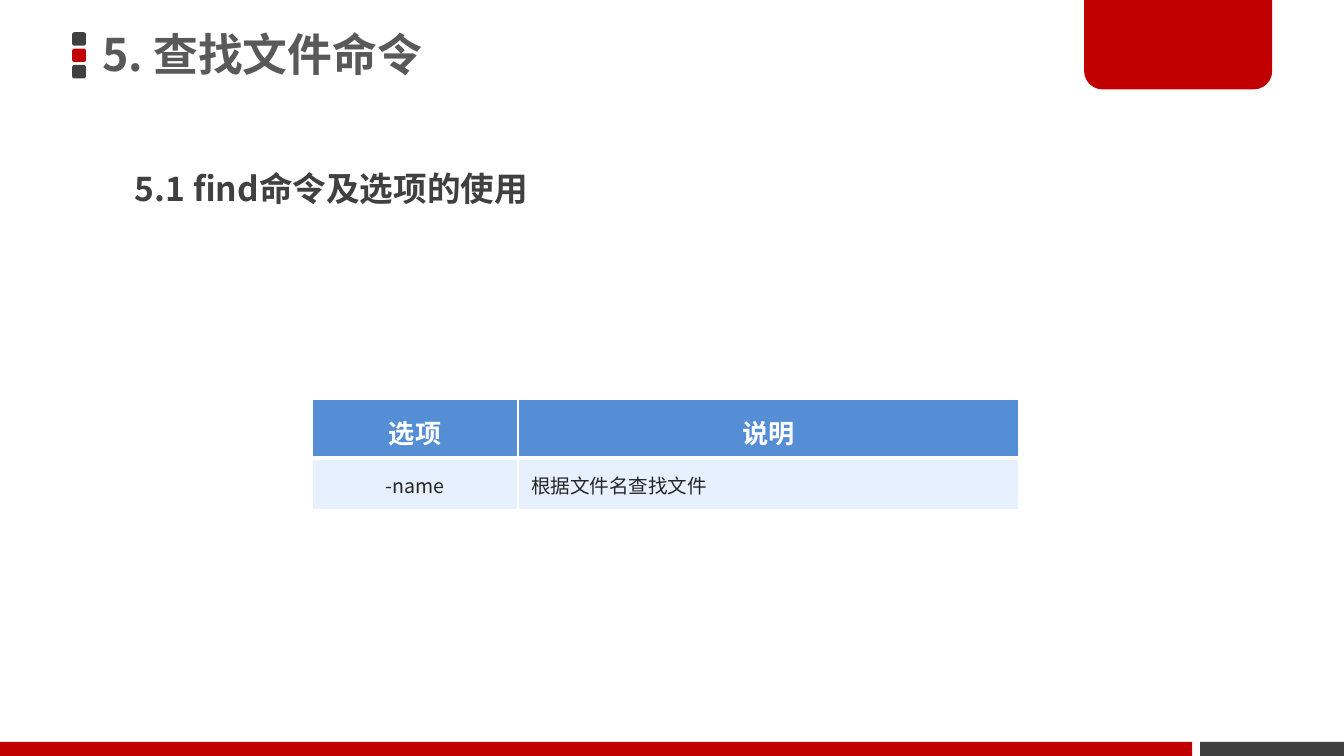
from dataclasses import dataclass

from lxml.etree import SubElement
from pptx import Presentation
from pptx.dml.color import RGBColor
from pptx.enum.shapes import MSO_SHAPE
from pptx.enum.text import MSO_ANCHOR, MSO_AUTO_SIZE, PP_ALIGN
from pptx.oxml.ns import qn
from pptx.util import Inches, Pt


@dataclass(frozen=True)
class Theme:
    font: str = "Noto Sans CJK SC"
    red: str = "C00000"
    dark: str = "404040"
    title: str = "595959"
    header: str = "558ED5"
    row: str = "E6F0FF"
    body: str = "262626"
    white: str = "FFFFFF"
    title_size: float = 24
    subtitle_size: float = 18
    header_size: float = 14
    body_size: float = 10.5


@dataclass(frozen=True)
class Box:
    col: float
    row: float
    cols: float
    rows: float

    def emu(self) -> list[int]:
        return [round(v * UNIT) for v in (self.col, self.row, self.cols, self.rows)]


@dataclass(frozen=True)
class Block:
    box: Box
    color: str
    kind: MSO_SHAPE = MSO_SHAPE.RECTANGLE
    radius: float | None = None
    rotation: float = 0


THEME = Theme()
COLUMNS, ROWS = 100, 56.25
UNIT = Inches(10) / COLUMNS
FOOTER_ROWS = 1.05
FOOTER = ROWS - FOOTER_ROWS

BLOCKS = [
    *(
        Block(Box(5.37, 2.4 + 1.22 * i, 1.03, 1), color, MSO_SHAPE.ROUNDED_RECTANGLE, 0.17)
        for i, color in enumerate([THEME.dark, THEME.red, THEME.dark])
    ),
    Block(Box(89.3, FOOTER, 10.7, FOOTER_ROWS), THEME.dark),
    Block(Box(80.66, -0.2, 14, 6.85), THEME.red, MSO_SHAPE.ROUND_2_SAME_RECTANGLE, 0.2, 180),
    Block(Box(0, FOOTER, 88.7, FOOTER_ROWS), THEME.red),
]
OPTIONS = [("选项", "说明"), ("-name", "根据文件名查找文件")]
OPTION_COLS = (15.3, 37.3)
OPTION_ROWS = (3.9, 4)


def write(tf, text: str, *, size: float, color: str, bold: bool = False,
          align=PP_ALIGN.LEFT, spacing=None, anchor=None) -> None:
    p = tf.paragraphs[0]
    p.alignment = align
    p.line_spacing = spacing
    r = p.add_run()
    r.text = text
    r.font.size = Pt(size)
    r.font.bold = bold
    r.font.name = THEME.font
    r.font.color.rgb = RGBColor.from_string(color)
    SubElement(r._r.get_or_add_rPr(), qn("a:ea"), typeface=THEME.font)
    if anchor is not None:
        tf.vertical_anchor = anchor


def draw_block(slide, block: Block) -> None:
    sp = slide.shapes.add_shape(block.kind, *block.box.emu())
    sp.shadow.inherit = False
    sp.fill.solid()
    sp.fill.fore_color.rgb = RGBColor.from_string(block.color)
    sp.line.fill.background()
    sp.rotation = block.rotation
    if block.radius is not None:
        sp.adjustments[0] = block.radius


def draw_borders(cell, **widths: float) -> None:
    tc_pr = cell._tc.get_or_add_tcPr()
    for side, width in widths.items():
        ln = SubElement(tc_pr, qn(f"a:ln{side}"), w=str(Pt(width)))
        SubElement(SubElement(ln, qn("a:solidFill")), qn("a:srgbClr"), val=THEME.white)


def draw_title(slide, box: Box, text: str) -> None:
    sp = slide.shapes.title
    sp.left, sp.top, sp.width, sp.height = box.emu()
    tf = sp.text_frame
    tf.word_wrap = True
    tf.auto_size = MSO_AUTO_SIZE.NONE
    tf.margin_left = tf.margin_right = Inches(0.07)
    tf.margin_top = tf.margin_bottom = Inches(0.04)
    write(tf, text, size=THEME.title_size, color=THEME.title, bold=True,
          spacing=0.9, anchor=MSO_ANCHOR.MIDDLE)


def draw_subtitle(slide, box: Box, text: str) -> None:
    tf = slide.shapes.add_textbox(*box.emu()).text_frame
    tf.word_wrap = True
    tf.auto_size = MSO_AUTO_SIZE.SHAPE_TO_FIT_TEXT
    write(tf, text, size=THEME.subtitle_size, color=THEME.dark, bold=True, spacing=1.5)


def draw_options(slide, col: float, row: float) -> None:
    box = Box(col, row, sum(OPTION_COLS), sum(OPTION_ROWS))
    table = slide.shapes.add_table(len(OPTIONS), len(OPTION_COLS), *box.emu()).table
    for column, cols in zip(table.columns, OPTION_COLS):
        column.width = round(cols * UNIT)
    for table_row, rows in zip(table.rows, OPTION_ROWS):
        table_row.height = round(rows * UNIT)
    for i, texts in enumerate(OPTIONS):
        head = i == 0
        for j, text in enumerate(texts):
            cell = table.cell(i, j)
            draw_borders(cell, L=1, R=1, T=1 if head else 3, B=3)
            cell.fill.solid()
            cell.fill.fore_color.rgb = RGBColor.from_string(THEME.header if head else THEME.row)
            cell.vertical_anchor = MSO_ANCHOR.TOP if head else MSO_ANCHOR.MIDDLE
            write(cell.text_frame, text, bold=head,
                  size=THEME.header_size if head else THEME.body_size,
                  color=THEME.white if head else THEME.body,
                  align=PP_ALIGN.CENTER if head or j == 0 else PP_ALIGN.LEFT,
                  spacing=Pt(24) if head else None)


def main() -> None:
    prs = Presentation()
    prs.slide_width, prs.slide_height = round(COLUMNS * UNIT), round(ROWS * UNIT)
    slide = prs.slides.add_slide(prs.slide_layouts[5])
    for block in BLOCKS:
        draw_block(slide, block)
    draw_title(slide, Box(6.9, -0.2, 58.9, 8.9), "5. 查找文件命令")
    draw_options(slide, 23.24, 29.74)
    draw_subtitle(slide, Box(9.06, 10.5, 47.2, 5.6), "5.1 find命令及选项的使用")
    prs.save("out.pptx")


if __name__ == "__main__":
    main()
